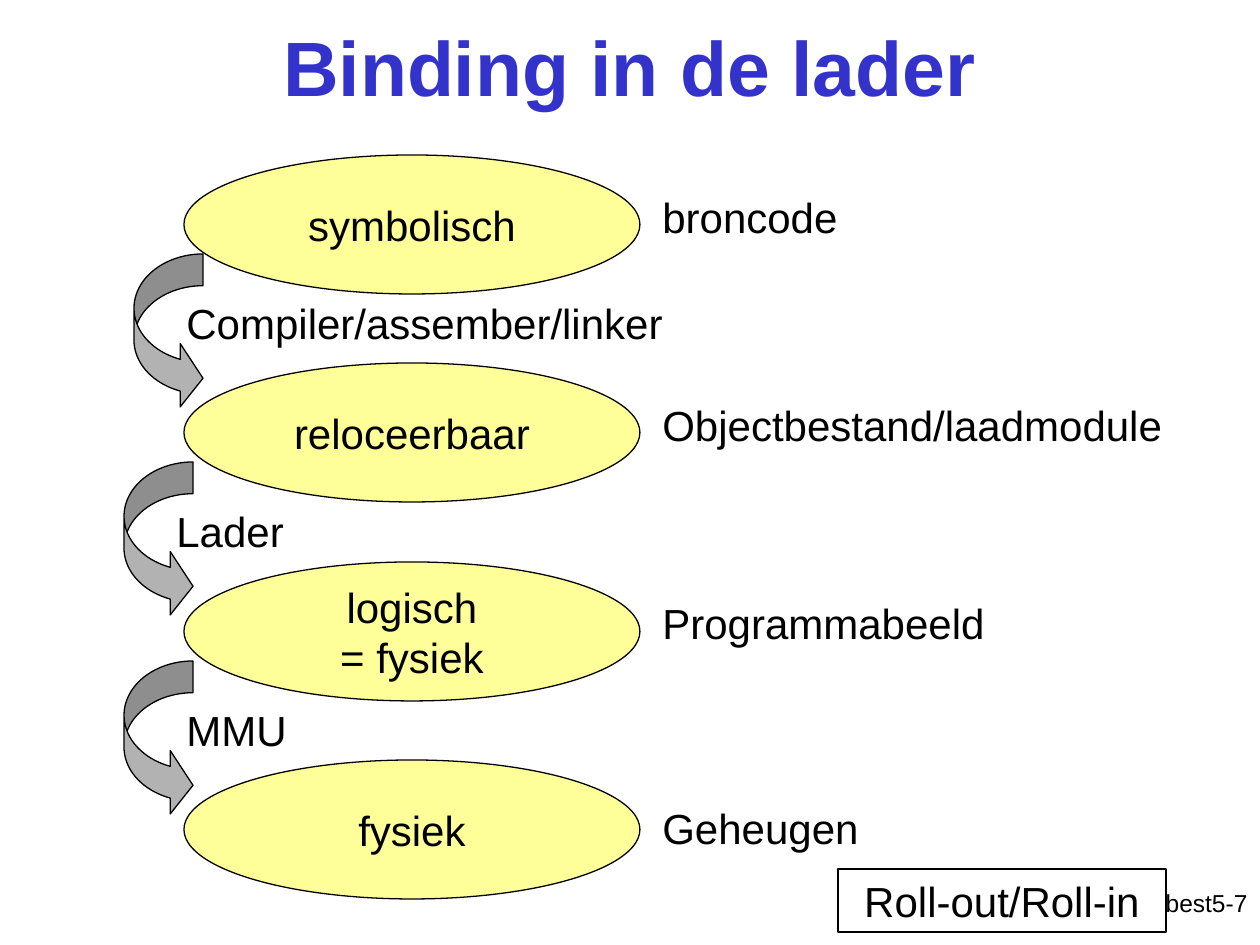
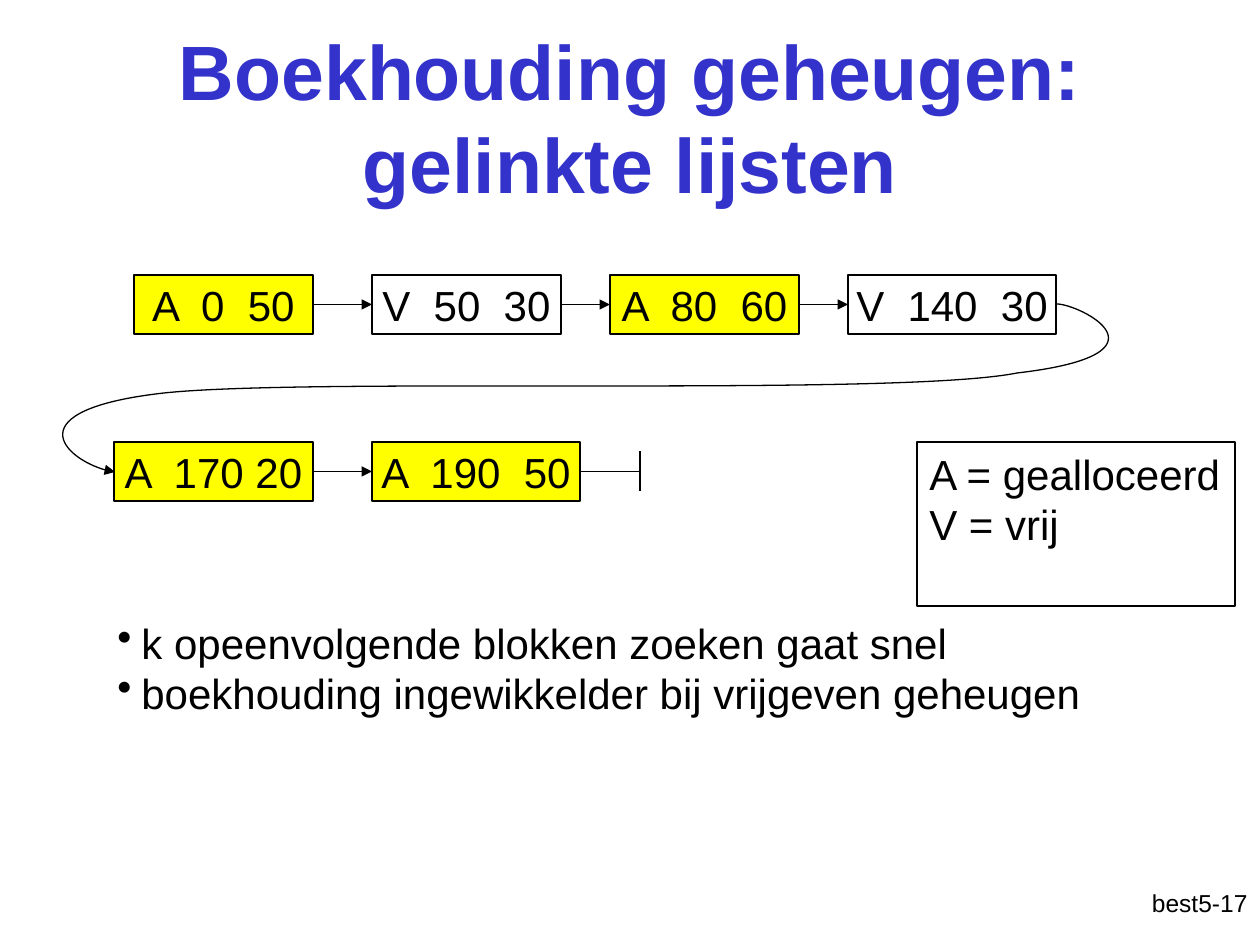
"""Build two slides on memory binding and linked-list bookkeeping."""
from lxml.etree import SubElement
from pptx import Presentation
from pptx.dml.color import RGBColor
from pptx.enum.shapes import MSO_CONNECTOR, MSO_SHAPE
from pptx.enum.text import MSO_ANCHOR, PP_ALIGN
from pptx.oxml.ns import qn
from pptx.util import Pt

FONT = "Arial"
BLACK, BLUE = "000000", "3333CC"
CREAM, YELLOW, GREY = "FFFF99", "FFFF00", "B2B2B2"
LEFT, MID, RIGHT = PP_ALIGN.LEFT, PP_ALIGN.CENTER, PP_ALIGN.RIGHT

BIND = "Binding in de lader"
STAGES = [
    (155, ["symbolisch"], "broncode", 185),
    (363, ["reloceerbaar"], "Objectbestand/laadmodule", 393),
    (562, ["logisch", "= fysiek"], "Programmabeeld", 591),
    (760, ["fysiek"], "Geheugen", 796),
]
STEPS = [
    (134, "Compiler/assember/linker", 174),
    (124, "Lader", 164),
    (124, "MMU", 174),
]
SWAP = "Roll-out/Roll-in"

LISTS = "Boekhouding geheugen: gelinkte lijsten"
ROWS = [
    (275, [(134, 179, "A  0  50"), (372, 189, "V  50  30"),
           (610, 189, "A  80  60"), (848, 208, "V  140  30")]),
    (442, [(114, 199, "A  170 20"), (372, 208, "A  190  50")]),
]
NODE_H = 59
CURVE = [(1057, 304), (1079, 304), (1181, 354), (1017, 373), (897, 397),
         (314, 377), (164, 393), (13, 410), (71, 466), (115, 472)]
LEGEND = ["A = gealloceerd", "V = vrij"]
NOTES = ["k opeenvolgende blokken zoeken gaat snel",
         "boekhouding ingewikkelder bij vrijgeven geheugen"]


def px(num):
    return round(num * 914400 / 126)


def rgb(code):
    return RGBColor.from_string(code)


def write(shape, lines, size=24, color=BLACK, bold=False, align=LEFT,
          anchor=MSO_ANCHOR.TOP, wrap=True, bullet=False):
    frame = shape.text_frame
    frame.word_wrap = wrap
    frame.vertical_anchor = anchor
    frame.text = "\n".join(lines)
    for para in frame.paragraphs:
        para.alignment = align
        if bullet:
            props = para._p.get_or_add_pPr()
            props.set("marL", str(px(24)))
            props.set("indent", str(-px(24)))
            SubElement(props, qn("a:buChar")).set("char", "•")
        font = para.font
        font.name, font.size, font.bold = FONT, Pt(size), bold
        font.color.rgb = rgb(color)


def label(slide, box, lines, **style):
    write(slide.shapes.add_textbox(*map(px, box)), lines, **style)


def ink(shape):
    shape.line.color.rgb = rgb(BLACK)
    shape.line.width = Pt(0.75)


def draw(slide, kind, box, fill=None):
    shape = slide.shapes.add_shape(kind, *map(px, box))
    shape.shadow.inherit = False
    if fill:
        shape.fill.solid()
        shape.fill.fore_color.rgb = rgb(fill)
    else:
        shape.fill.background()
    ink(shape)
    return shape


def point(shape):
    SubElement(shape.line._get_or_add_ln(), qn("a:tailEnd")).set("type", "triangle")


def link(slide, start, end):
    wire = slide.shapes.add_connector(MSO_CONNECTOR.STRAIGHT, *map(px, start + end))
    ink(wire)
    SubElement(wire.element.spPr, qn("a:effectLst"))
    return wire


def bend(slide, dots):
    """Draw one arrow of cubic curves through the control points."""
    dots = [(px(x), px(y)) for x, y in dots]
    pen = slide.shapes.build_freeform(*dots[0])
    pen.add_line_segments(dots[1:], close=False)
    shape = pen.convert_to_shape()
    legs = list(shape.element.iter(qn("a:lnTo")))
    for first in range(0, len(legs), 3):
        curve = SubElement(legs[first].getparent(), qn("a:cubicBezTo"))
        for leg in legs[first:first + 3]:
            curve.append(leg[0])
            leg.getparent().remove(leg)
    shape.shadow.inherit = False
    shape.fill.background()
    ink(shape)
    point(shape)


def start(deck, title, box, num):
    slide = deck.slides.add_slide(deck.slide_layouts[6])
    label(slide, (998, 882, 262, 63), [f"best5-{num}"], size=14, align=RIGHT)
    label(slide, box, [title], size=44, color=BLUE, bold=True,
          align=MID, anchor=MSO_ANCHOR.MIDDLE)
    return slide


def binding(deck):
    slide = start(deck, BIND, (0, -13, 1260, 158), 7)
    for top, lines, side, side_y in STAGES:
        oval = draw(slide, MSO_SHAPE.OVAL, (184, top, 456, 139), CREAM)
        write(oval, lines, align=MID, anchor=MSO_ANCHOR.MIDDLE, wrap=False)
        label(slide, (650, side_y, 556, 63), [side])
    for (top, *_), (x, step, text_x) in zip(STAGES, STEPS):
        arrow = draw(slide, MSO_SHAPE.CURVED_RIGHT_ARROW, (x, top + 99, 69, 156), GREY)
        for pos, part in enumerate((0.46, 0.92, 0.33)):
            arrow.adjustments[pos] = part
        label(slide, (text_x, top + 136, 605, 63), [step])
    write(draw(slide, MSO_SHAPE.RECTANGLE, (838, 869, 328, 63)), [SWAP], align=MID)


def lists(deck):
    slide = start(deck, LISTS, (95, 37, 1071, 158), 17)
    label(slide, (105, 611, 1012, 113), NOTES, bullet=True)
    for top, nodes in ROWS:
        mid = top + NODE_H / 2
        last = None
        for x, wide, text in nodes:
            fill = YELLOW if text.startswith("A") else None
            node = draw(slide, MSO_SHAPE.RECTANGLE, (x, top, wide, NODE_H), fill)
            write(node, [text], align=MID, anchor=MSO_ANCHOR.MIDDLE, wrap=False)
            if last:
                wire = link(slide, (end, mid), (x, mid))
                wire.begin_connect(last, 3)
                wire.end_connect(node, 1)
                point(wire)
            last, end = node, x + wide
    bend(slide, CURVE)
    link(slide, (end, mid), (640, mid)).begin_connect(last, 3)
    link(slide, (640, mid - 20), (640, mid + 20))
    write(draw(slide, MSO_SHAPE.RECTANGLE, (917, 442, 318, 164)), LEGEND)


def main():
    deck = Presentation()
    deck.slide_width, deck.slide_height = px(1260), px(945)
    binding(deck)
    lists(deck)
    deck.save("out.pptx")


if __name__ == "__main__":
    main()
